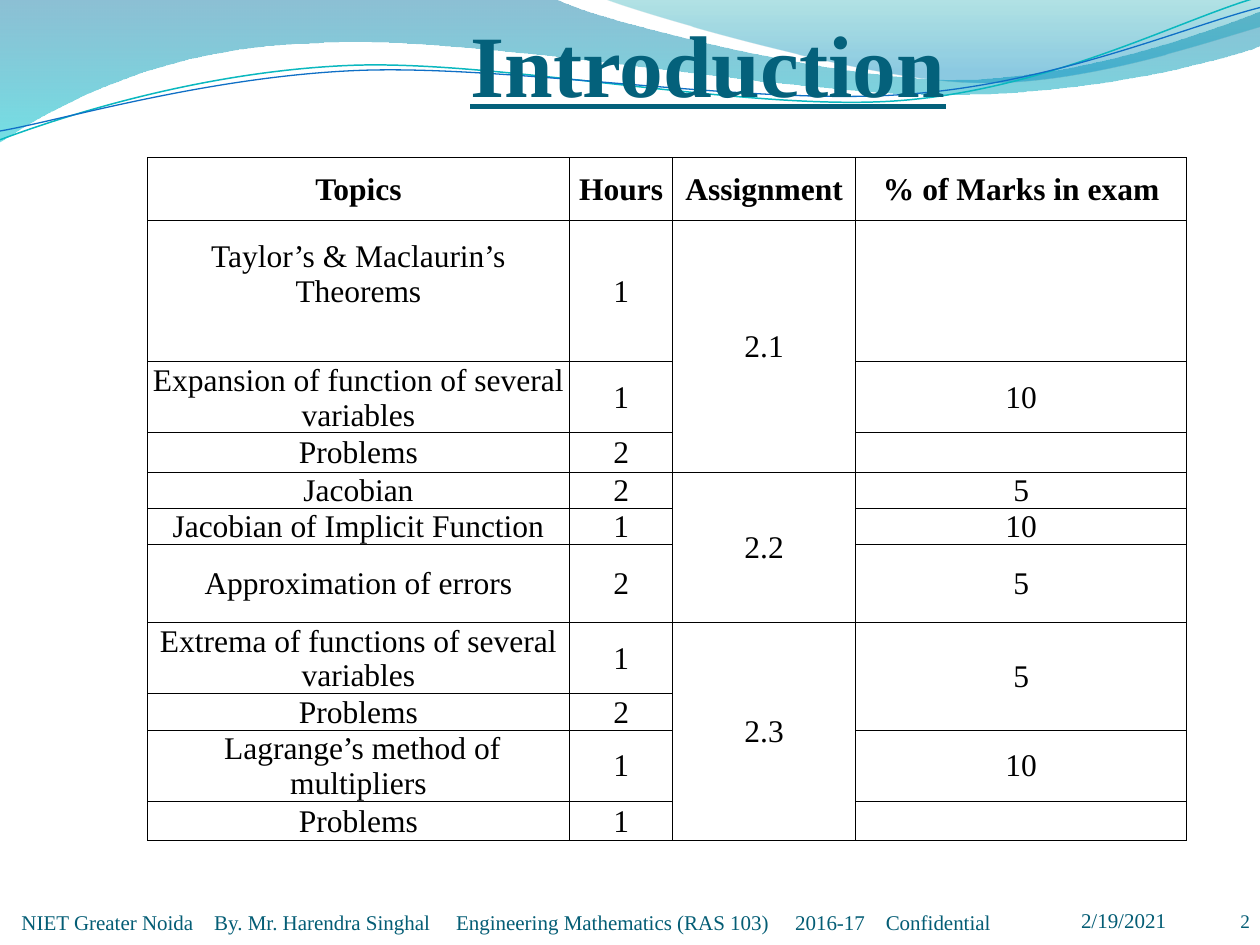
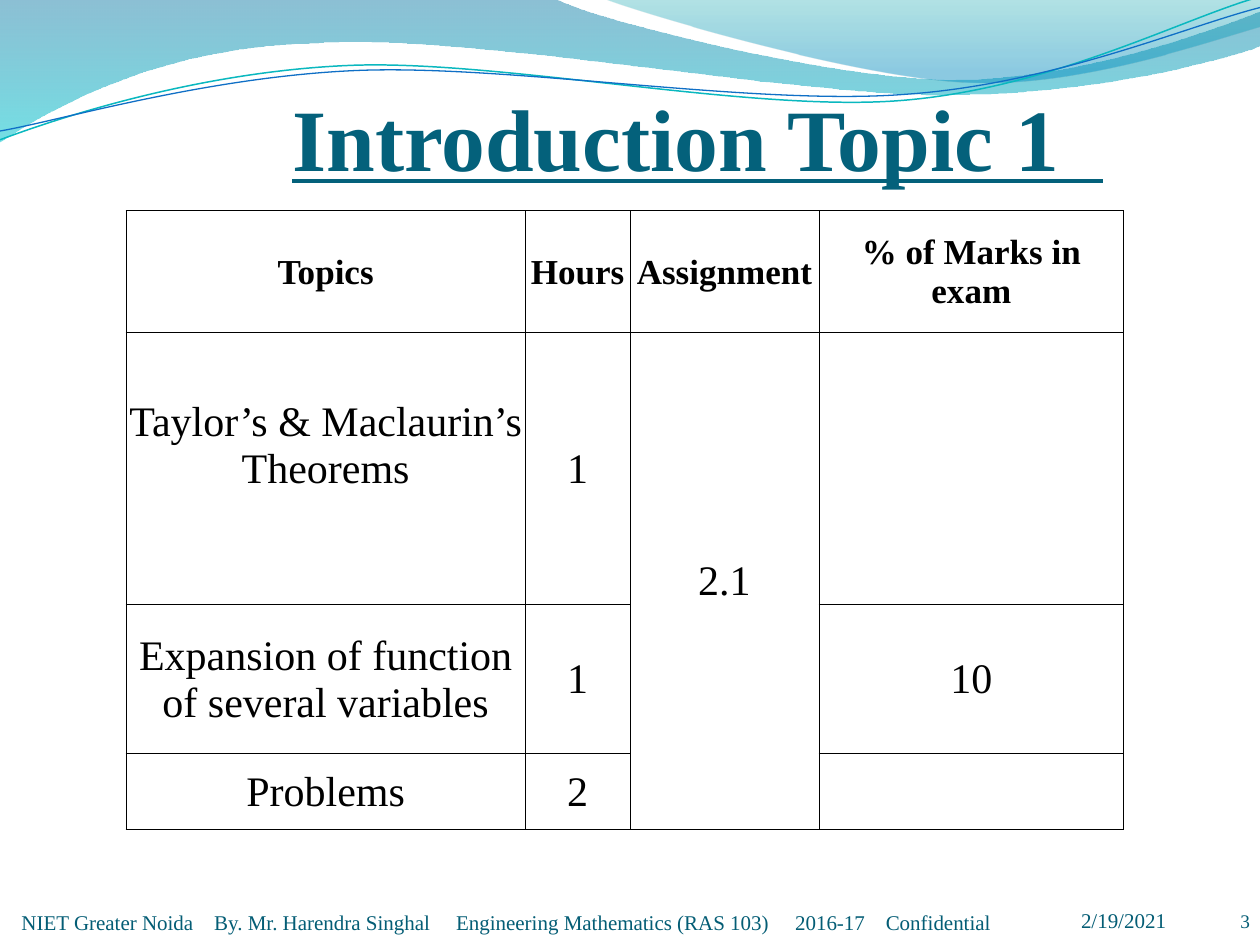
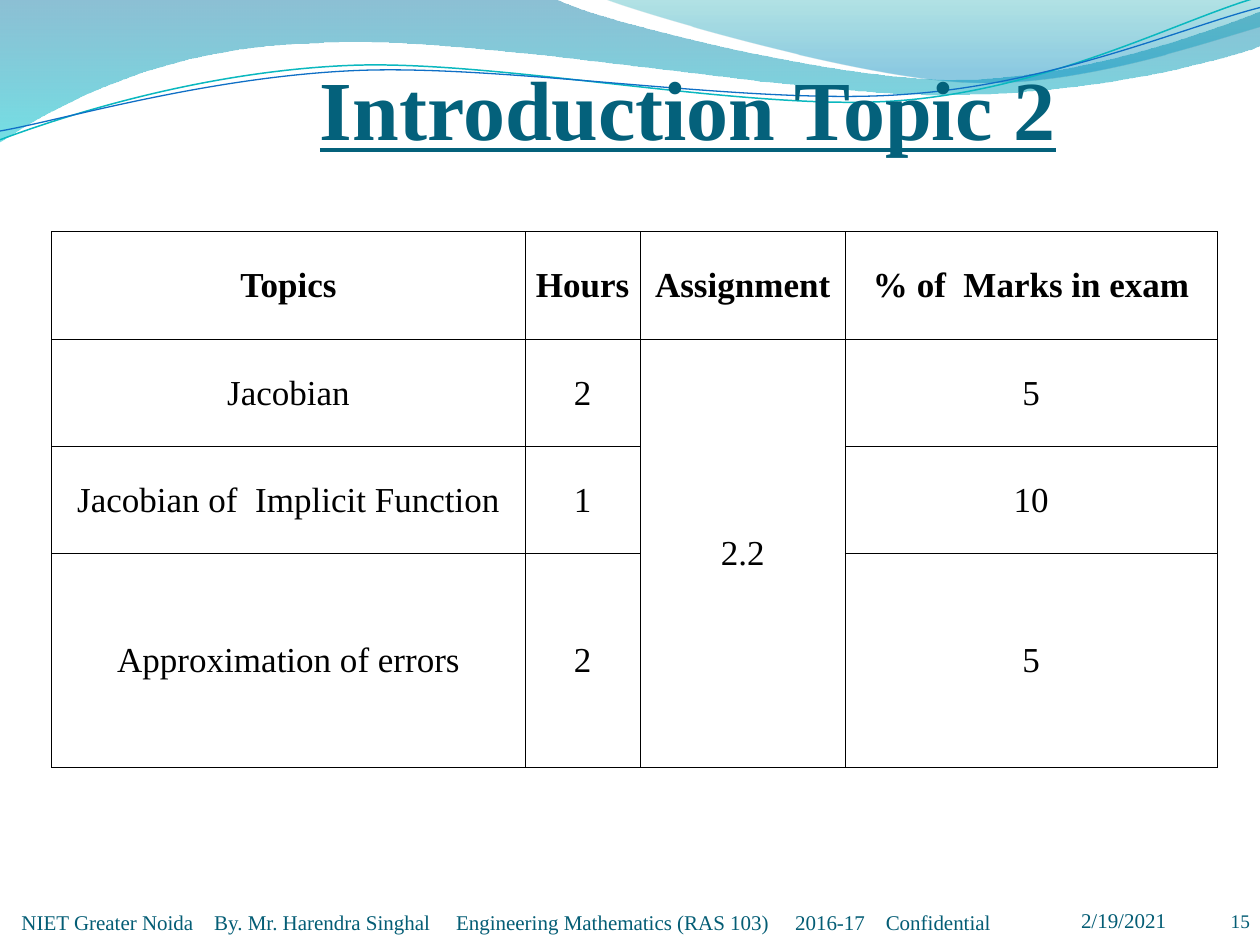
from dataclasses import dataclass

from pptx import Presentation
from pptx import util as u
from pptx.dml.color import RGBColor
from pptx.enum import text
from pptx.oxml import parse_xml
from pptx.oxml.ns import nsdecls, qn


@dataclass(frozen=True)
class Theme:
    font: str = "Times New Roman"
    ink: str = "000000"
    title: str = "04617B"
    foot: str = "045D75"
    teal: str = "0AB8BF"
    blue: str = "0F6FC6"
    big: int = 50
    small: int = 12
    page: int = 11
    rule: float = 0.5
    lead: float = 1.11


T = Theme()
LEFT, MID, RIGHT = text.PP_ALIGN.LEFT, text.PP_ALIGN.CENTER, text.PP_ALIGN.RIGHT

# Each path is a start point, then lines (x, y) and curves (three points).
WAVE = [(0, 0), (4.4, -0.01), (4.76, 0.17, 6.64, 0.63, 7.58, 0.63),
        (8.53, 0.63, 9.58, 0.26, 10, 0.09), (10.01, 0.36),
        (9.83, 0.44, 8.7, 0.76, 7.46, 0.75),
        (6.22, 0.75, 3.82, 0.28, 2.57, 0.34),
        (1.29, 0.36, 0.46, 0.83, -0.01, 1.13), (0, 0)]
CREST = [(4.79, -0.01), (5.09, 0.11, 6.82, 0.62, 7.69, 0.65),
         (8.56, 0.69, 9.61, 0.32, 10, 0.21), (10, 0), (4.79, -0.01)]
UPPER = [(0, 1.11), (0.48, 0.93, 1.58, 0.57, 2.77, 0.52),
         (3.95, 0.47, 5.93, 0.89, 7.13, 0.8),
         (8.33, 0.71, 9.38, 0.15, 9.98, -0.02)]
LOWER = [(0, 1.04), (0.47, 0.96, 1.64, 0.61, 2.83, 0.56),
         (4.03, 0.51, 5.97, 0.84, 7.17, 0.75),
         (8.36, 0.67, 9.41, 0.21, 10, 0.06)]

FOOT = ["NIET Greater Noida", "By. Mr. Harendra Singhal",
        "Engineering Mathematics (RAS 103)", "2016-17", "Confidential"]
STOPS = [1.53, 3.45, 6.14, 6.86]

HEAD = ["Topics", "Hours", "Assignment", "% of Marks in exam"]
TAYLOR = "Taylor’s & Maclaurin’s Theorems"
# None continues the cell above.
FIRST = [[TAYLOR, "1", "2.1", ""],
         ["Expansion of function of several variables", "1", None, "10"],
         ["Problems", "2", None, ""]]
NEXT = [["Jacobian", "2", "2.2", "5"],
        ["Jacobian of Implicit Function", "1", None, "10"],
        ["Approximation of errors", "2", None, "5"]]
LAST = [["Extrema of functions of several variables", "1", "2.3", "5"],
        ["Problems", "2", None, None],
        [" Lagrange’s method of multipliers", "1", None, "10"],
        ["Problems", "1", None, ""]]


def trace(slide, path, close):
    """Draw a path, joining each curve's three points into one segment."""
    points = [(u.Inches(x), u.Inches(y)) for part in path
              for x, y in zip(part[::2], part[1::2])]
    pen = slide.shapes.build_freeform(*points[0])
    pen.add_line_segments(points[1:], close=close)
    shape = pen.convert_to_shape()
    lines = iter(list(shape.element.iter(qn("a:lnTo"))))
    for part in path[1:]:
        line = next(lines)
        if len(part) == 6:
            bend = parse_xml(f'<a:cubicBezTo {nsdecls("a")}/>')
            line.addprevious(bend)
            for piece in (line, next(lines), next(lines)):
                bend.append(piece[0])
                piece.getparent().remove(piece)
    shape.shadow.inherit = False
    shape.fill.background()
    return shape


def band(slide, path, stops):
    """Draw a closed area with a see-through gradient running down."""
    shape = trace(slide, path, True)
    shape.line.fill.background()
    marks = "".join(
        f'<a:gs pos="{pos * 1000}"><a:srgbClr val="{hue}">'
        f'<a:alpha val="{alpha * 1000}"/></a:srgbClr></a:gs>'
        for pos, hue, alpha in stops)
    grad = parse_xml(f'<a:gradFill {nsdecls("a")} rotWithShape="1"><a:gsLst>{marks}'
                     '</a:gsLst><a:lin ang="5400000" scaled="0"/></a:gradFill>')
    props = shape.element.spPr
    props.replace(props.find(qn("a:noFill")), grad)


def curve(slide, path, hue, width):
    line = trace(slide, path, False).line
    line.color.rgb = RGBColor.from_string(hue)
    line.width = u.Pt(width)


def write(frame, words, size=T.small, hue=T.foot, bold=False, under=False,
          align=LEFT, tabs=(), lead=None):
    para = frame.paragraphs[0]
    para.alignment = align
    if lead:
        para.line_spacing = u.Pt(size * lead)
    if tabs:
        marks = "".join(f'<a:tab pos="{u.Inches(x)}" algn="l"/>' for x in tabs)
        para._p.get_or_add_pPr().append(
            parse_xml(f'<a:tabLst {nsdecls("a")}>{marks}</a:tabLst>'))
    if words:
        run = para.add_run()
        run.text = words
        font = run.font
        font.name, font.size = T.font, u.Pt(size)
        font.bold, font.underline = bold, under
        font.color.rgb = RGBColor.from_string(hue)
    para._p.append(parse_xml(
        f'<a:endParaRPr {nsdecls("a")} sz="{size * 100}">'
        f'<a:latin typeface="{T.font}"/></a:endParaRPr>'))


def label(slide, words, at, top=0, **style):
    frame = slide.shapes.add_textbox(*map(u.Inches, at)).text_frame
    frame.word_wrap = True
    frame.margin_left = frame.margin_right = frame.margin_bottom = 0
    frame.margin_top = u.Inches(top)
    frame.vertical_anchor = text.MSO_ANCHOR.BOTTOM
    write(frame, words, **style)


def edge(cell):
    """Put a thin rule on all four sides."""
    props = cell._tc.get_or_add_tcPr()
    for i, side in enumerate("LRTB"):
        props.insert(i, parse_xml(
            f'<a:ln{side} {nsdecls("a")} w="{u.Pt(T.rule)}"><a:solidFill>'
            f'<a:srgbClr val="{T.ink}"/></a:solidFill></a:ln{side}>'))


def grid(slide, spot, cols, heights, rows, top, size):
    """Add a table; top and size are the type sizes of head and body."""
    area = (*spot, sum(cols), sum(heights))
    table = slide.shapes.add_table(len(rows), len(cols),
                                   *map(u.Inches, area)).table
    table.first_row = table.horz_banding = False
    style = next(table._tbl.iter(qn("a:tableStyleId")))
    style.getparent().remove(style)
    for col, width in zip(table.columns, cols):
        col.width = u.Inches(width)
    for row, height in zip(table.rows, heights):
        row.height = u.Inches(height)
    for r, row in enumerate(rows):
        for c, words in enumerate(row):
            cell = table.cell(r, c)
            cell.margin_left = cell.margin_right = cell.margin_top = u.Inches(0.01)
            # The theorem row keeps one line free below its text.
            cell.margin_bottom = u.Pt(size * T.lead) if words == TAYLOR else 0
            cell.vertical_anchor = text.MSO_ANCHOR.MIDDLE
            cell.fill.background()
            edge(cell)
            write(cell.text_frame, words, size=size if r else top,
                  hue=T.ink, bold=r == 0, align=MID, lead=T.lead)
    for c in range(len(cols)):
        start = 0
        for r in range(1, len(rows) + 1):
            if r == len(rows) or rows[r][c] is not None:
                if r - start > 1:
                    table.cell(start, c).merge(table.cell(r - 1, c))
                start = r


def page(deck, title, spot, number, size=T.big):
    """Add a slide with the waves, a title and the footer."""
    slide = deck.slides.add_slide(deck.slide_layouts[6])
    band(slide, WAVE, [(0, "0074A1", 45), (100, "00C6CF", 55)])
    band(slide, CREST, [(0, "00A1A9", 30), (80, "008BBF", 45)])
    curve(slide, UPPER, T.teal, 0.85)
    curve(slide, LOWER, T.blue, 0.75)
    label(slide, title, spot, top=0.05, size=size, hue=T.title,
          bold=True, under=True, align=MID)
    label(slide, "2/19/2021", (8.58, 7, 0.83, 0.4))
    label(slide, number, (9.5, 7, 0.42, 0.4), size=T.page, align=RIGHT)
    label(slide, "\t".join(FOOT), (0.17, 7.02, 8.25, 0.4), tabs=STOPS)
    return slide


def main():
    deck = Presentation()
    deck.slide_width, deck.slide_height = u.Inches(10), u.Inches(7.5)
    for face in deck.element.iter(qn("a:latin")):
        face.set("typeface", T.font)

    slide = page(deck, "Introduction", (1.08, -0.17, 9.08, 1.08), "2")
    one, two = 0.28, 0.56
    grid(slide, (1.17, 1.25), [3.35, 0.82, 1.45, 2.63],
         [0.5, 1.12, two, one, one, one, 0.62, two, one, two, one],
         [HEAD] + FIRST + NEXT + LAST, 18, 18)

    slide = page(deck, "Introduction Topic 1  ", (1, 0.25, 9.08, 1.25), "3")
    grid(slide, (1, 1.67), [3.17, 0.83, 1.5, 2.42], [0.97, 2.16, 1.18, 0.6],
         [HEAD] + FIRST, 20, 24)

    slide = page(deck, "Introduction Topic 2", (0.92, 0, 9.08, 1.25), "15", 48)
    wide = [[words and words.replace("of Marks", "of  Marks")
             .replace("of Implicit", "of  Implicit") for words in row]
            for row in [HEAD] + NEXT]
    grid(slide, (0.41, 1.84), [3.76, 0.91, 1.63, 2.95],
         [0.85, 0.85, 0.85, 1.7], wide, 20, 20)

    deck.save("out.pptx")


if __name__ == "__main__":
    main()
